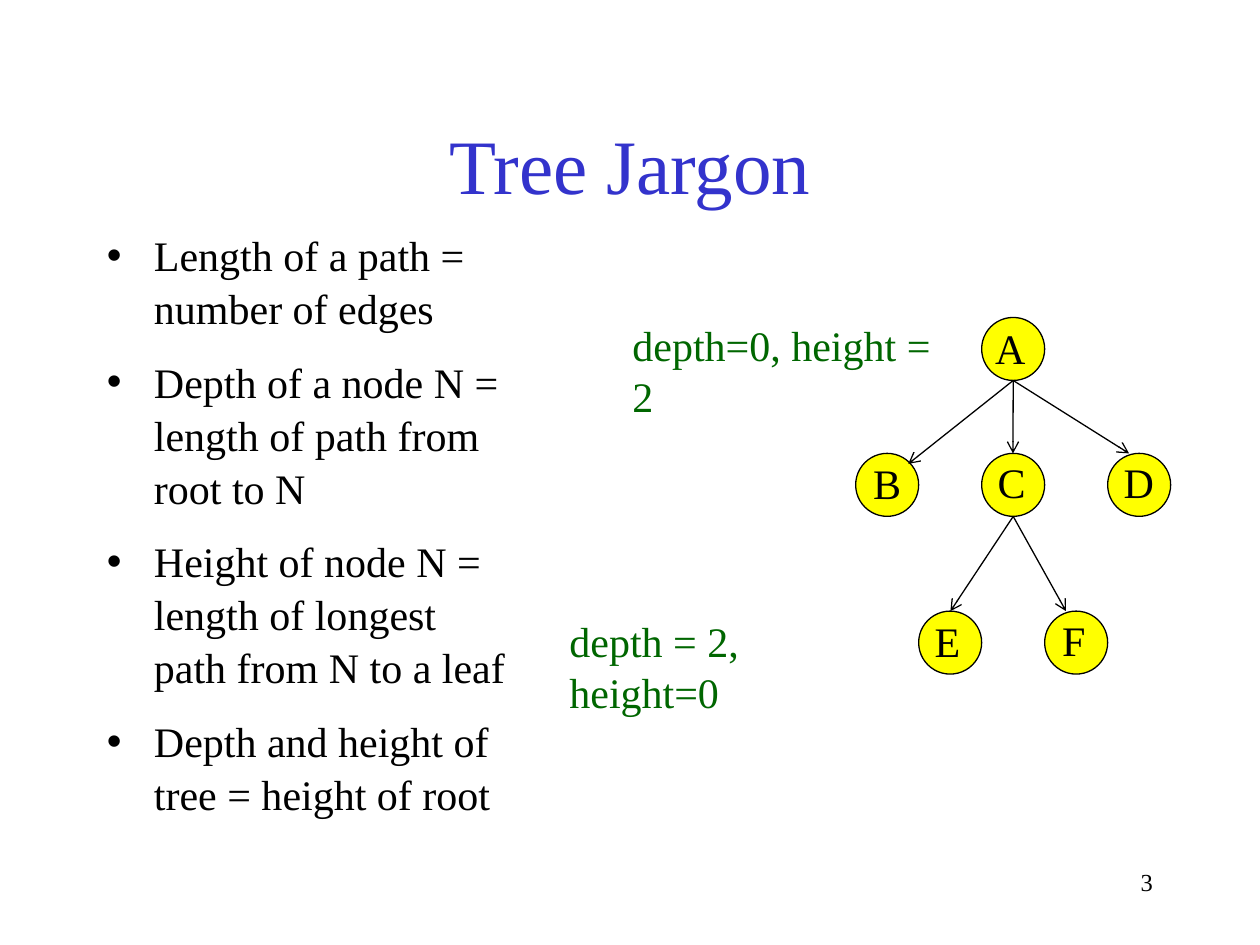
from lxml import etree
from pptx import Presentation
from pptx import util as u
from pptx.dml.color import RGBColor
from pptx.enum import shapes, text
from pptx.oxml.ns import qn

INK, BLUE, GREEN, GOLD = "000000", "3333CC", "006600", "FFFF00"


def tint(code):
    return RGBColor.from_string(code)


def write(frame, words, size, code, align=text.PP_ALIGN.LEFT, first=True):
    """Add one paragraph of a single run to a text frame."""
    para = frame.paragraphs[0] if first else frame.add_paragraph()
    para.alignment = align
    run = para.add_run()
    run.text = words
    run.font.name = "Times New Roman"
    run.font.size = u.Pt(size)
    run.font.color.rgb = tint(code)
    return para


deck = Presentation()
deck.slide_width, deck.slide_height = u.Cm(25.4), u.Cm(19.05)
slide = deck.slides.add_slide(deck.slide_layouts[1])
items = slide.shapes

# Title
title = items.title
title.left, title.top = u.Cm(1.9), u.Cm(1.7)
title.width, title.height = u.Cm(21.6), u.Cm(3.18)
frame = title.text_frame
frame.auto_size = text.MSO_AUTO_SIZE.NONE
frame.vertical_anchor = text.MSO_ANCHOR.MIDDLE
write(frame, "Tree Jargon", 44, BLUE, text.PP_ALIGN.CENTER)

# Definitions
body = slide.placeholders[1]
body.left, body.top = u.Cm(1.9), u.Cm(4.45)
body.width, body.height = u.Cm(8.56), u.Cm(12.5)
frame = body.text_frame
frame.auto_size = text.MSO_AUTO_SIZE.NONE
terms = [
    "Length of a path = number of edges",
    "Depth of a node N = length of path from root to N",
    "Height of node N = length of longest path from N to a leaf",
    "Depth and height of tree = height of root",
]
for rank, term in enumerate(terms):
    para = write(frame, term, 24, INK, first=rank == 0)
    para.line_spacing = 1.05
    para.space_before = u.Pt(12 if rank else 0)
    props = para._p.get_or_add_pPr()
    props.set("marL", str(u.Cm(0.95)))
    props.set("indent", str(u.Cm(-0.95)))
    shade = etree.SubElement(props, qn("a:buClr"))
    etree.SubElement(shade, qn("a:srgbClr"), val=INK)
    etree.SubElement(props, qn("a:buChar"), char="•")

# Tree nodes: left and top of the circle, then of its letter
size = 1.27
nodes = {
    "A": (19.79, 6.4, 19.81, 6.38),
    "B": (17.25, 9.14, 17.35, 9.09),
    "C": (19.79, 9.14, 19.86, 9.07),
    "D": (22.33, 9.14, 22.4, 9.07),
    "E": (18.52, 12.32, 18.59, 12.29),
    "F": (21.06, 12.32, 21.16, 12.27),
}
for left, top, _, _ in nodes.values():
    disc = items.add_shape(shapes.MSO_SHAPE.OVAL, u.Cm(left), u.Cm(top), u.Cm(size), u.Cm(size))
    disc.shadow.inherit = False
    disc.fill.solid()
    disc.fill.fore_color.rgb = tint(GOLD)
    disc.line.color.rgb = tint(INK)
    disc.line.width = u.Pt(0.75)

# Edges: from the foot of a parent to a point on the child
edges = [
    ("A", 18.31, 9.35),
    ("A", 20.42, 9.14),
    ("C", 19.16, 12.32),
    ("C", 21.49, 12.32),
    ("A", 22.76, 9.14),
]
for name, x, y in edges:
    left, top = nodes[name][:2]
    edge = items.add_connector(
        shapes.MSO_CONNECTOR.STRAIGHT,
        u.Cm(left + size / 2), u.Cm(top + size), u.Cm(x), u.Cm(y),
    )
    edge.line.color.rgb = tint(INK)
    edge.line.width = u.Pt(0.75)
    etree.SubElement(edge.line._get_or_add_ln(), qn("a:tailEnd"), type="arrow")
    etree.SubElement(edge._element.spPr, qn("a:effectLst"))

# Letters, notes and page number: words, left, top, width, size, colour, align
near, far = text.PP_ALIGN.LEFT, text.PP_ALIGN.RIGHT
labels = [(name, spot[2], spot[3], 1.12, 24, INK, near) for name, spot in nodes.items()]
labels += [
    ("depth=0, height = 2", 12.5, 6.32, 7.14, 24, GREEN, near),
    ("depth = 2, height=0", 11.23, 12.29, 7.14, 24, GREEN, near),
    ("3", 18.21, 17.35, 5.28, 14, INK, far),
]
for words, left, top, width, points, code, align in labels:
    box = items.add_textbox(u.Cm(left), u.Cm(top), u.Cm(width), u.Cm(size))
    box.text_frame.word_wrap = True
    write(box.text_frame, words, points, code, align)

deck.save("out.pptx")
